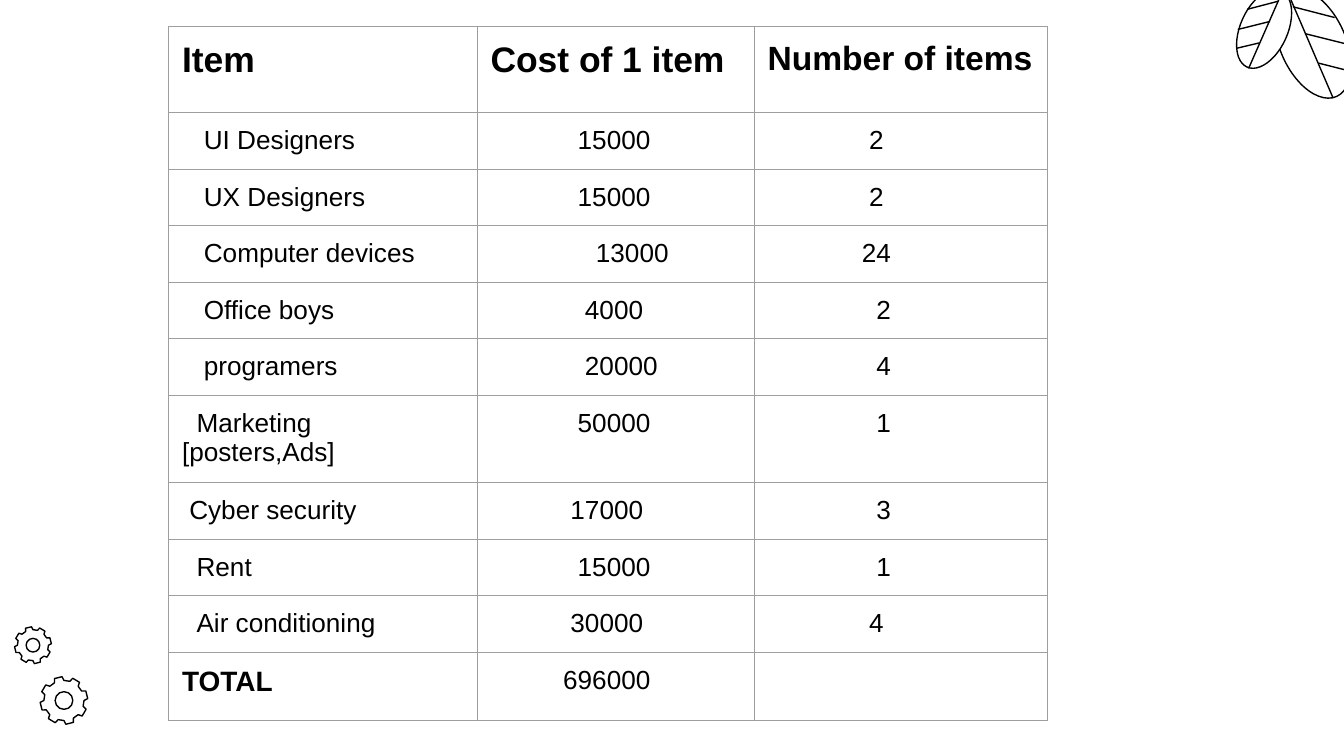
from dataclasses import dataclass
from math import cos, radians, sin

from lxml.etree import SubElement
from pptx import Presentation
from pptx.dml.color import RGBColor
from pptx.enum.shapes import MSO_CONNECTOR as Link, MSO_SHAPE as Kind
from pptx.oxml.ns import qn
from pptx.util import Pt

INK, GRID, PAPER = "000000", "9E9E9E", "FFFFFF"
FONT = "Arial"
LINE = 0.75
SPACE = 3.89  # width of one space at 14 pt

Point = tuple[float, float]


@dataclass
class Leaf:
    mid: Point
    width: float
    height: float
    turn: float
    veins: list[tuple[Point, Point]]


@dataclass
class Gear:
    mid: Point
    radius: float


@dataclass
class Entry:
    """One table row: three texts and their first-line indents in spaces."""
    texts: tuple[str, str, str]
    steps: tuple[float, float, float]
    height: float = 30.3


LEAVES = [
    Leaf((703.4, 23.4), 35.2, 62, -24, [
        ((692.6, 3.6), (715, 9.4)), ((699.1, 18), (722.2, 23.8)),
        ((706.3, 33.8), (723.6, 38.2)), ((714.2, 52.6), (689.8, -4.3))]),
    Leaf((677.2, 15.5), 25.4, 44.8, 24, [
        ((684.7, 0.7), (668.2, 5)), ((680.4, 11.5), (663.1, 15.8)),
        ((674.6, 23), (662.4, 25.9)), ((668.9, 36.7), (686.9, -4.3))]),
]
GEARS = [Gear((34.3, 375.3), 12.8), Gear((17.7, 345.7), 9.9)]

COLS = (165.3, 148.4, 157)
HEAD = Entry(("Item", "Cost of 1 item", "Number of items"), (0, 0, 0), 46)
ROWS = [
    Entry(("UI Designers", "15000", "2"), (3, 12, 14)),
    Entry(("UX Designers", "15000", "2"), (3, 12, 14)),
    Entry(("Computer devices", "13000", "24"), (3, 14.5, 13)),
    Entry(("Office boys", "4000", "2"), (3, 13, 15)),
    Entry(("programers", "20000", "4"), (3, 13, 15)),
    Entry(("Marketing\v[posters,Ads]", "50000", "1"), (2, 12, 15), 46.9),
    Entry(("Cyber security", "17000", "3"), (1, 11, 15)),
    Entry(("Rent", "15000", "1"), (2, 12, 15)),
    Entry(("Air conditioning", "30000", "4"), (2, 11, 14)),
]
TOTAL = Entry(("TOTAL", "696000", ""), (0, 10, 0), 34.4)


def color(code: str) -> RGBColor:
    return RGBColor.from_string(code)


def style(shape, fill: str | None = None) -> None:
    shape.shadow.inherit = False
    if fill:
        shape.fill.solid()
        shape.fill.fore_color.rgb = color(fill)
    else:
        shape.fill.background()
    shape.line.color.rgb = color(INK)
    shape.line.width = Pt(LINE)


def oval(slide, mid: Point, width: float, height: float,
         turn: float = 0, fill: str | None = None) -> None:
    x, y = mid
    shape = slide.shapes.add_shape(Kind.OVAL, Pt(x - width / 2), Pt(y - height / 2),
                                   Pt(width), Pt(height))
    shape.rotation = turn
    style(shape, fill)


def vein(slide, start: Point, end: Point) -> None:
    line = slide.shapes.add_connector(Link.STRAIGHT, *(Pt(v) for v in start + end))
    line.line.color.rgb = color(INK)
    line.line.width = Pt(LINE)
    SubElement(line._element.spPr, qn("a:effectLst"))


def draw_leaf(slide, leaf: Leaf) -> None:
    oval(slide, leaf.mid, leaf.width, leaf.height, leaf.turn, PAPER)
    for start, end in leaf.veins:
        vein(slide, start, end)


def draw_gear(slide, gear: Gear) -> None:
    """Outline eight teeth around a round hole."""
    x, y = gear.mid
    tooth = ((-14, 0.84), (-9.5, 1), (9.5, 1), (14, 0.84), (22.5, 0.83))
    dots = []
    for base in range(-59, 301, 45):
        for step, part in tooth:
            angle, reach = radians(base + step), gear.radius * part
            dots.append((Pt(x + reach * cos(angle)), Pt(y + reach * sin(angle))))
    pen = slide.shapes.build_freeform(*dots[0])
    pen.add_line_segments(dots[1:], close=True)
    style(pen.convert_to_shape())
    oval(slide, gear.mid, gear.radius * 0.74, gear.radius * 0.74)


def write(cell, text: str, *, size: float = 14, bold: bool = False,
          indent: float = 0) -> None:
    para = cell.text_frame.paragraphs[0]
    para.text = text
    props = para._p.get_or_add_pPr()
    props.set("marL", "0")
    props.set("indent", str(Pt(indent)))
    for run in para.runs:
        font = run.font
        font.name, font.size, font.bold = FONT, Pt(size), bold
        font.color.rgb = color(INK)


def frame(cell) -> None:
    """Give a cell its margins, clear fill and thin borders."""
    cell.margin_left = cell.margin_right = Pt(7.2)
    cell.margin_top = cell.margin_bottom = Pt(7.2)
    props = cell._tc.get_or_add_tcPr()
    for side in ("lnL", "lnR", "lnT", "lnB"):
        edge = SubElement(props, qn(f"a:{side}"), w=str(Pt(LINE)))
        fill = SubElement(edge, qn("a:solidFill"))
        SubElement(fill, qn("a:srgbClr"), val=GRID)
    cell.fill.background()


def draw_table(slide) -> None:
    rows = [HEAD, *ROWS, TOTAL]
    table = slide.shapes.add_table(len(rows), len(COLS), Pt(90.3), Pt(14.4), Pt(sum(COLS)),
                                   Pt(sum(row.height for row in rows))).table
    table.first_row = table.horz_banding = False
    for col, width in zip(table.columns, COLS):
        col.width = Pt(width)
    for r, row in enumerate(rows):
        table.rows[r].height = Pt(row.height)
        for c, (text, step) in enumerate(zip(row.texts, row.steps)):
            cell = table.cell(r, c)
            frame(cell)
            if row is HEAD:
                write(cell, text, size=18 if c == 2 else 19, bold=True)
            elif row is TOTAL and c == 0:
                write(cell, text, size=15, bold=True)
            elif text:
                write(cell, text, indent=step * SPACE)


def main() -> None:
    deck = Presentation()
    deck.slide_width, deck.slide_height = Pt(720), Pt(405)
    slide = deck.slides.add_slide(deck.slide_layouts[6])
    slide.background.fill.solid()
    slide.background.fill.fore_color.rgb = color(PAPER)
    for leaf in LEAVES:
        draw_leaf(slide, leaf)
    for gear in GEARS:
        draw_gear(slide, gear)
    draw_table(slide)
    deck.save("out.pptx")


if __name__ == "__main__":
    main()
